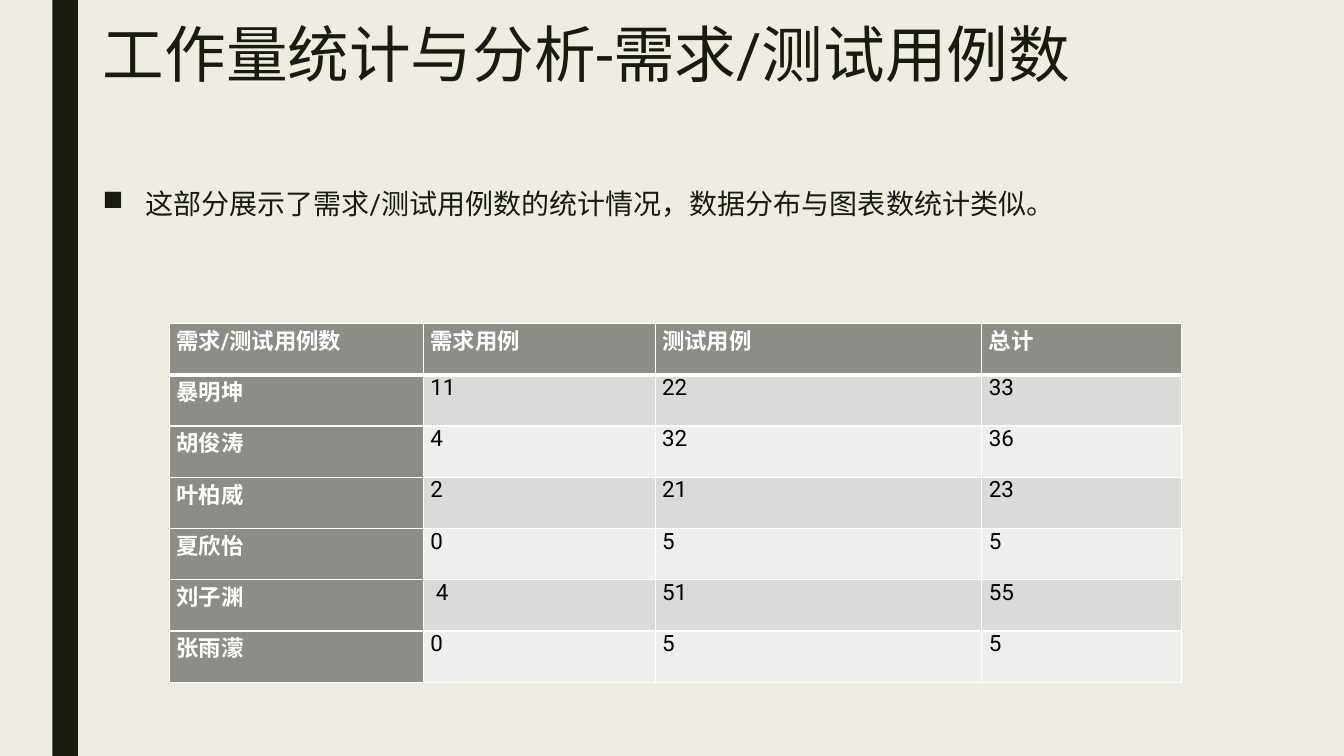
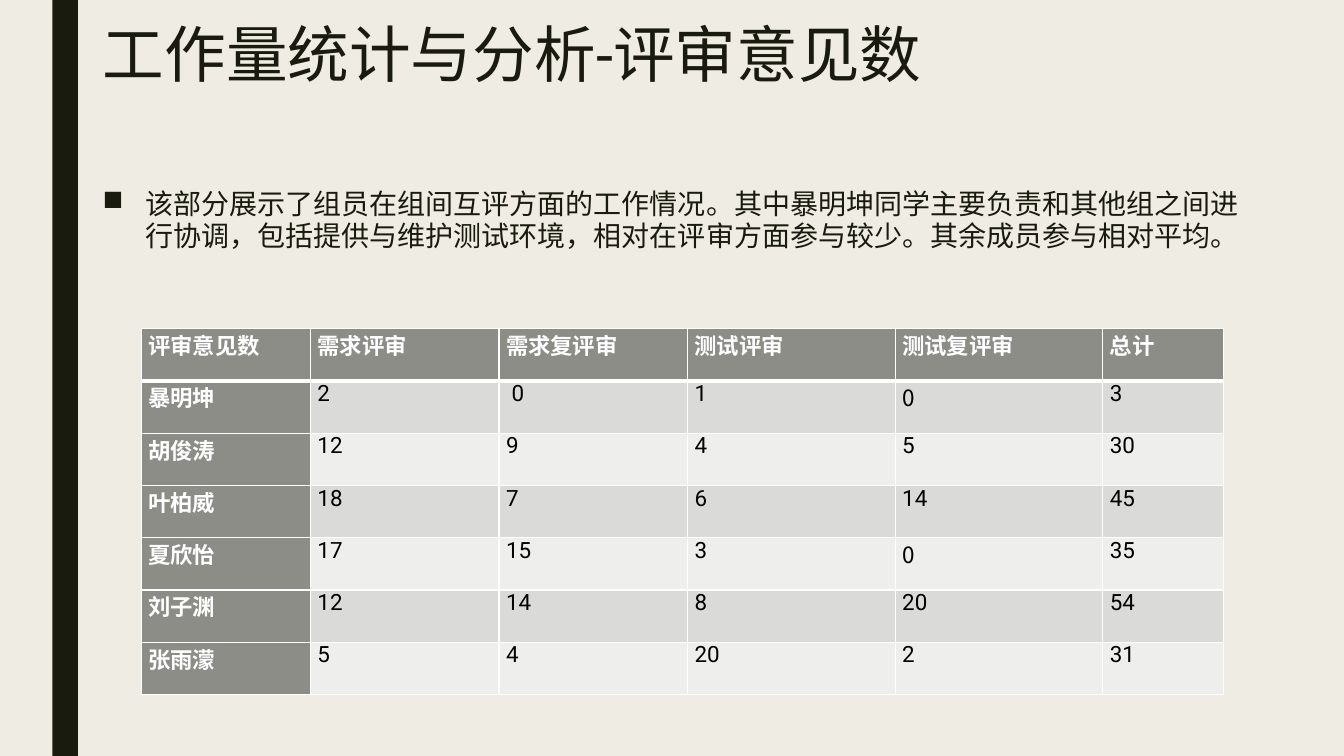
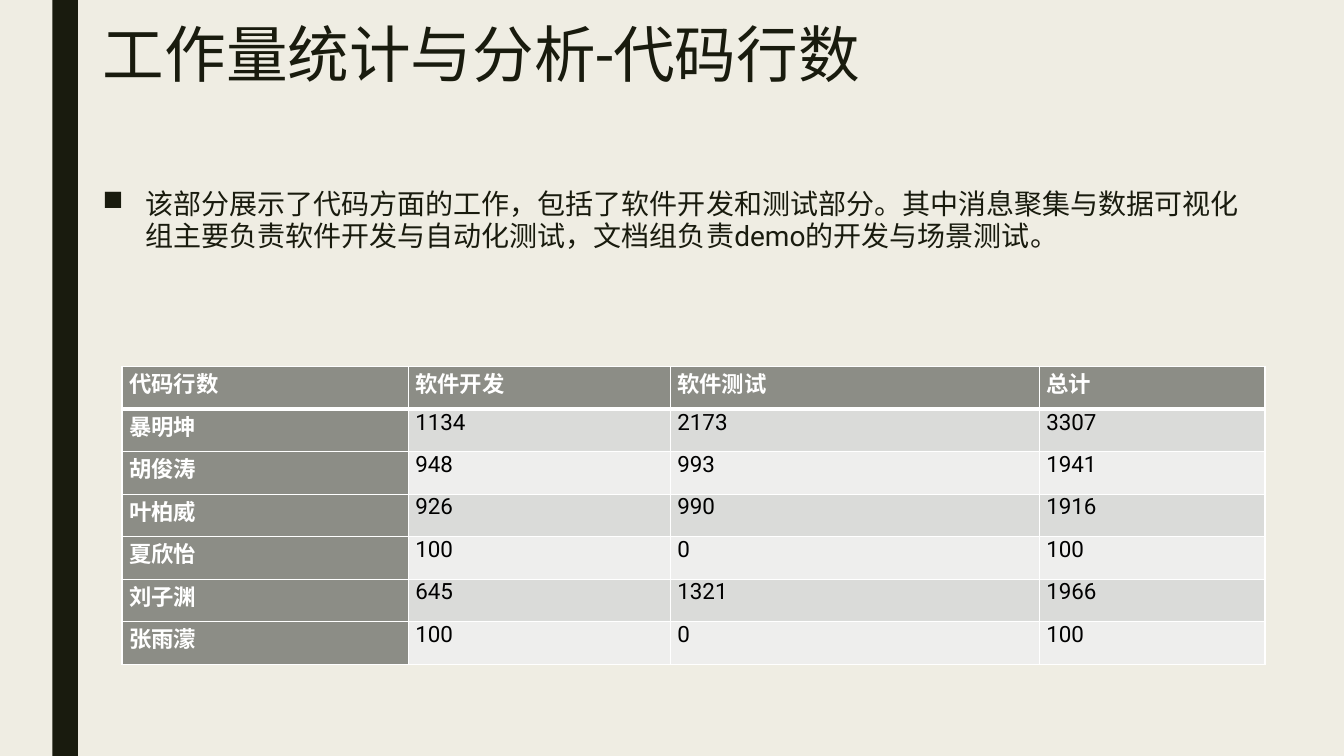
from dataclasses import dataclass

from lxml import etree
from pptx import Presentation
from pptx.dml.color import RGBColor
from pptx.enum.shapes import MSO_SHAPE
from pptx.enum.text import MSO_ANCHOR, MSO_AUTO_SIZE, PP_ALIGN
from pptx.oxml import parse_xml
from pptx.oxml.ns import qn
from pptx.util import Inches, Pt

RECT = MSO_SHAPE.RECTANGLE
TOP = MSO_ANCHOR.TOP
FIXED = MSO_AUTO_SIZE.NONE
LEFT, EVEN = PP_ALIGN.LEFT, PP_ALIGN.JUSTIFY
NS = "http://schemas.openxmlformats.org/drawingml/2006/main"


@dataclass(frozen=True)
class Theme:
    paper: str = "EFEDE3"
    ink: str = "191B0E"
    head: str = "8C8D86"
    odd: str = "DADBD9"
    even: str = "EEEEED"
    white: str = "FFFFFF"
    black: str = "000000"
    latin: str = "Roboto"
    asian: str = "Noto Sans CJK SC"
    title: int = 44
    body: int = 20
    cell: int = 16


T = Theme()

# Boxes are left, top, width, height in percent of the slide
BAND = (3.9, 0, 1.9, 100)
TITLE = (6.9, 2.67, 86.25, 19.33)
BODY = (6.9, 24.4, 86.25, 63.47)

TEAM = ["暴明坤", "胡俊涛", "叶柏威", "夏欣怡", "刘子渊", "张雨濛"]

# Each page: topic, text, table left/top/height, column widths, heads, figures
PAGES = [
    ("需求/测试用例数",
     "这部分展示了需求/测试用例数的统计情况，数据分布与图表数统计类似。",
     (12.6, 42.8, 47.47), (18.9, 17.25, 24.3, 14.88),
     ["需求/测试用例数", "需求用例", "测试用例", "总计"],
     [("11", "22", "33"), ("4", "32", "36"), ("2", "21", "23"),
      ("0", "5", "5"), (" 4", "51", "55"), ("0", "5", "5")]),
    ("评审意见数",
     "该部分展示了组员在组间互评方面的工作情况。其中暴明坤同学主要负责和其他组之间进行协调，"
     "包括提供与维护测试环境，相对在评审方面参与较少。其余成员参与相对平均。",
     (10.5, 43.47, 48.4), (12.6, 14.03, 14.03, 15.45, 15.45, 9),
     ["评审意见数", "需求评审", "需求复评审", "测试评审", "测试复评审", "总计"],
     [("2", " 0", "1", "0", "3"), ("12", "9", "4", "5", "30"),
      ("18", "7", "6", "14", "45"), ("17", "15", "3", "0", "35"),
      ("12", "14", "8", "20", "54"), ("5", "4", "20", "2", "31")]),
    ("代码行数",
     "该部分展示了代码方面的工作，包括了软件开发和测试部分。其中消息聚集与数据可视化组主要负责"
     "软件开发与自动化测试，文档组负责demo的开发与场景测试。",
     (9.08, 48.53, 39.33), (21.3, 19.5, 27.45, 16.8),
     ["代码行数", "软件开发", "软件测试", "总计"],
     [("1134", "2173", "3307"), ("948", "993", "1941"), ("926", "990", "1916"),
      ("100", "0", "100"), ("645", "1321", "1966"), ("100", "0", "100")]),
]

deck = Presentation()
deck.slide_width, deck.slide_height = Inches(13.33), Inches(7.5)


def place(box):
    """Turn percentages into slide lengths."""
    wide, high = deck.slide_width, deck.slide_height
    return [int(part * side / 100) for part, side in zip(box, (wide, high) * 2)]


def write(frame, text, size, color, align=LEFT, bold=False, latin=T.latin):
    """Set one formatted paragraph and return it."""
    frame.text = text
    par = frame.paragraphs[0]
    par.alignment = align
    for run in par.runs:
        font = run.font
        font.size, font.bold, font.name = Pt(size), bold, latin
        font.color.rgb = RGBColor.from_string(color)
        asian = etree.SubElement(run._r.get_or_add_rPr(), qn("a:ea"))
        asian.set("typeface", T.asian)
    return par


# Shared background
paper = deck.slide_master.background.fill
paper.solid()
paper.fore_color.rgb = RGBColor.from_string(T.paper)

for topic, text, spot, widths, heads, rows in PAGES:
    slide = deck.slides.add_slide(deck.slide_layouts[5])
    shapes = slide.shapes

    # Side band
    band = shapes.add_shape(RECT, *place(BAND))
    band.shadow.inherit = False
    band.fill.solid()
    band.fill.fore_color.rgb = RGBColor.from_string(T.ink)
    band.line.fill.background()

    # Title
    title = shapes.title
    title.left, title.top, title.width, title.height = place(TITLE)
    frame = title.text_frame
    frame.word_wrap, frame.auto_size, frame.vertical_anchor = True, FIXED, TOP
    par = write(frame, f"工作量统计与分析-{topic}", T.title, T.ink)
    par.line_spacing = 0.89

    # Bulleted text
    frame = shapes.add_textbox(*place(BODY)).text_frame
    frame.word_wrap, frame.auto_size, frame.vertical_anchor = True, FIXED, TOP
    par = write(frame, text, T.body, T.ink)
    par.line_spacing, par.space_before, par.space_after = 0.94, Pt(10), Pt(2)
    props = par._p.get_or_add_pPr()
    props.set("marL", str(Inches(0.42)))
    props.set("indent", str(Inches(-0.42)))
    etree.SubElement(props, qn("a:buChar")).set("char", "■")

    # Table: head row, then one row per member
    grid = [heads] + [[name, *row] for name, row in zip(TEAM, rows)]
    left, top, high = spot
    area = place((left, top, sum(widths), high))
    table = shapes.add_table(len(grid), len(heads), *area).table
    for col, width in zip(table.columns, widths):
        col.width = int(deck.slide_width * width / 100)
    for r, row in enumerate(grid):
        table.rows[r].height = area[3] // len(grid)
        for c, value in enumerate(row):
            cell = table.cell(r, c)
            label = r == 0 or c == 0
            cell.margin_left = cell.margin_right = Inches(0.07)
            cell.margin_top = cell.margin_bottom = 0
            cell.vertical_anchor = TOP
            plain = c == 4 and value == "0"
            write(cell.text_frame, value, T.cell, T.white if label else T.black,
                  EVEN, label, T.asian if plain else T.latin)
            cell.fill.solid()
            tone = T.head if label else T.odd if r % 2 else T.even
            cell.fill.fore_color.rgb = RGBColor.from_string(tone)
            # Borders: a heavy rule under the head row
            edges = {"L": 1, "R": 1, "T": 3 if r == 1 else 1, "B": 3 if r == 0 else 1}
            for n, (side, weight) in enumerate(edges.items()):
                cell._tc.get_or_add_tcPr().insert(n, parse_xml(
                    f'<a:ln{side} xmlns:a="{NS}" w="{Pt(weight)}"><a:solidFill>'
                    f'<a:srgbClr val="{T.white}"/></a:solidFill></a:ln{side}>'))

deck.save("out.pptx")
